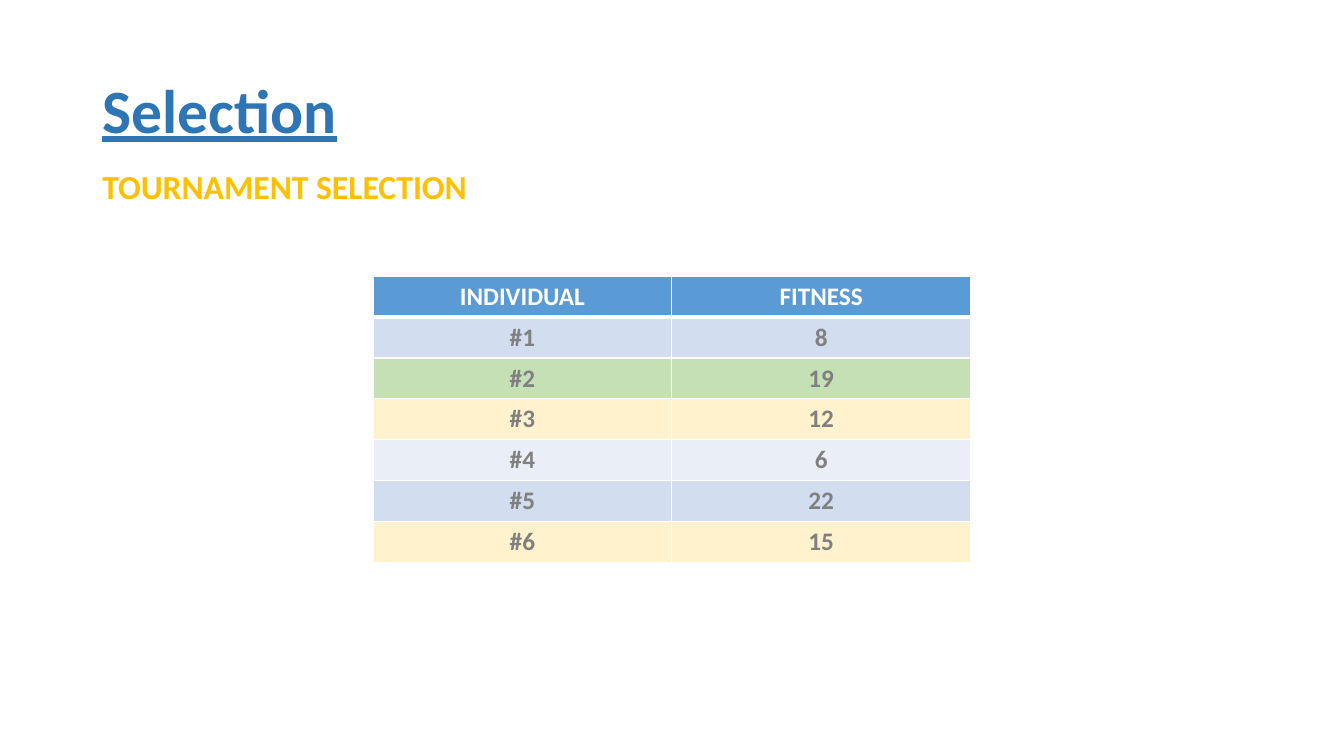
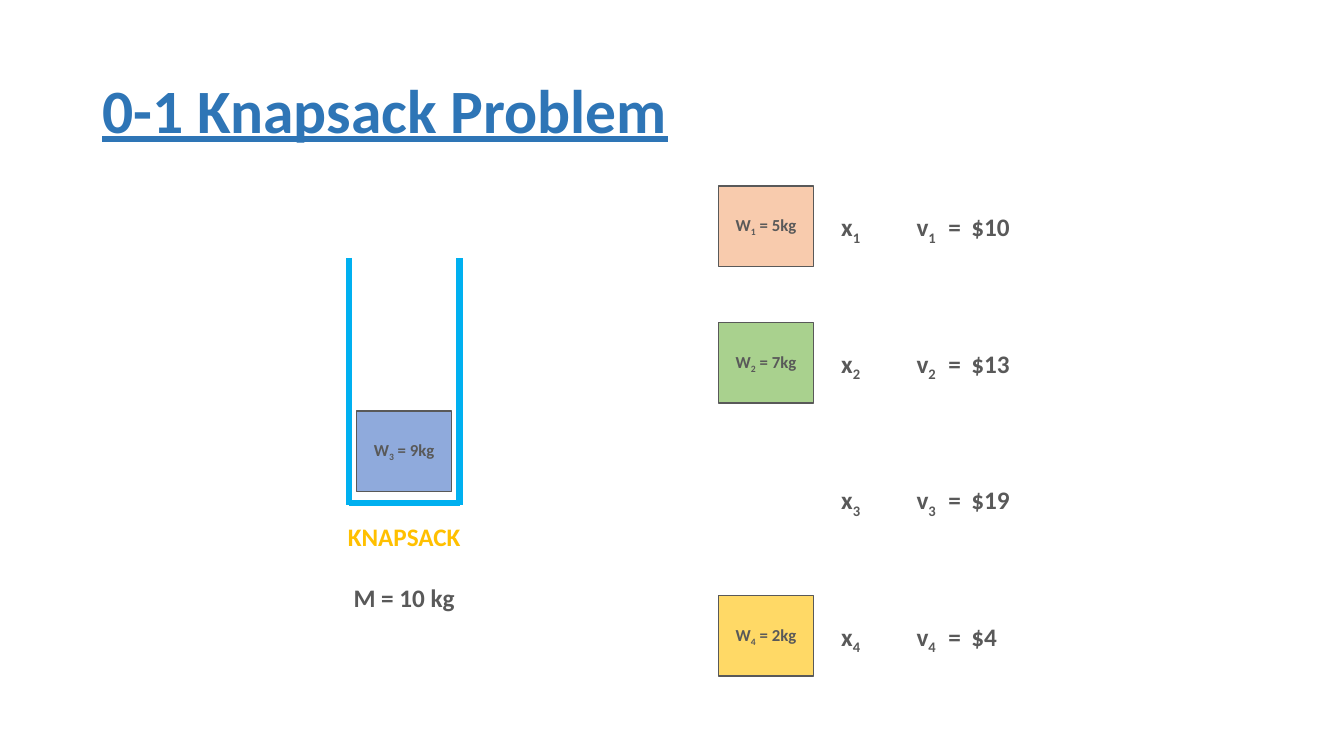
import pptx
import pptx.dml.color
import pptx.enum.shapes
import pptx.enum.text
import pptx.oxml
import pptx.oxml.ns
import pptx.util

Cm = pptx.util.Cm
Pt = pptx.util.Pt
RGBColor = pptx.dml.color.RGBColor
ALIGN = pptx.enum.text.PP_ALIGN
ANCHOR = pptx.enum.text.MSO_ANCHOR

FONT = "Calibri"
TITLE_BLUE = RGBColor(0x2E, 0x75, 0xB6)
GOLD = RGBColor(0xFF, 0xC0, 0x00)
WHITE = RGBColor(0xFF, 0xFF, 0xFF)
DARK_GRAY = RGBColor(0x59, 0x59, 0x59)
CELL_GRAY = RGBColor(0x80, 0x80, 0x80)
HEADER_BLUE = RGBColor(0x5B, 0x9B, 0xD5)
BAND_DARK = RGBColor(0xD2, 0xDE, 0xEF)
BAND_LIGHT = RGBColor(0xEA, 0xEF, 0xF7)
PALE_GREEN = RGBColor(0xC5, 0xE0, 0xB4)
PALE_YELLOW = RGBColor(0xFF, 0xF2, 0xCC)
SACK_BLUE = RGBColor(0x00, 0xB0, 0xF0)
ITEM_ORANGE = RGBColor(0xF8, 0xCB, 0xAD)
ITEM_GREEN = RGBColor(0xA9, 0xD1, 0x8E)
ITEM_BLUE = RGBColor(0x8F, 0xAA, 0xDC)
ITEM_YELLOW = RGBColor(0xFF, 0xD9, 0x66)

FITNESS_ROWS = [
    ("INDIVIDUAL", "FITNESS", HEADER_BLUE),
    ("#1", "8", BAND_DARK),
    ("#2", "19", PALE_GREEN),
    ("#3", "12", PALE_YELLOW),
    ("#4", "6", BAND_LIGHT),
    ("#5", "22", BAND_DARK),
    ("#6", "15", PALE_YELLOW),
]

# weight, value, colour, already in the knapsack
ITEMS = [
    ("5kg", "$10", ITEM_ORANGE, False),
    ("7kg", "$13", ITEM_GREEN, False),
    ("9kg", "$19", ITEM_BLUE, True),
    ("2kg", "$4", ITEM_YELLOW, False),
]

# Table geometry in centimetres
TABLE_LEFT, TABLE_TOP = 9.4, 6.96
COLUMN_WIDTH, ROW_HEIGHT = 7.53, 1.03

# Knapsack geometry in centimetres
SACK_LEFT, SACK_RIGHT = 8.79, 11.58
SACK_TOP, SACK_BASE, SACK_FOOT = 6.5, 12.67, 12.73
SACK_CENTRE = (SACK_LEFT + SACK_RIGHT) / 2
CAPTION_WIDTH = 4

# Item list geometry in centimetres
ITEM_LEFT, ITEM_TOP, ITEM_PITCH = 18.11, 4.69, 3.44
ITEM_WIDTH, ITEM_HEIGHT = 2.39, 2.03
PACKED_TOP = 10.36
VALUE_LEFT, VALUE_DROP = 20.95, 0.52
VALUE_TABS = (1.9, 2.7, 3.28)


def add_run(paragraph, text, size, color, subscript=False, underline=None):
    run = paragraph.add_run()
    run.text = text
    run.font.name = FONT
    run.font.size = Pt(size)
    run.font.bold = True
    run.font.underline = underline
    run.font.color.rgb = color
    if subscript:
        run.font._element.set("baseline", "-25000")


def add_text_box(slide, left, top, width, height):
    """Add a wrapping text box, measured in centimetres; return its frame."""
    box = slide.shapes.add_textbox(Cm(left), Cm(top), Cm(width), Cm(height))
    box.text_frame.word_wrap = True
    return box.text_frame


def add_titled_slide(presentation, title):
    slide = presentation.slides.add_slide(presentation.slide_layouts[6])
    frame = add_text_box(slide, 2.33, 1.01, 29.21, 3.68)
    frame.vertical_anchor = ANCHOR.MIDDLE
    paragraph = frame.paragraphs[0]
    paragraph.line_spacing = 0.9
    add_run(paragraph, title, 44, TITLE_BLUE, underline=True)
    return slide


def add_cell_borders(cell, top, bottom):
    """Draw white borders; top and bottom widths are in points."""
    properties = cell._tc.get_or_add_tcPr()
    namespace = pptx.oxml.ns.nsdecls("a")
    for side, width in (("L", 1), ("R", 1), ("T", top), ("B", bottom)):
        properties.append(pptx.oxml.parse_xml(
            f'<a:ln{side} {namespace} w="{Pt(width)}"><a:solidFill>'
            f'<a:srgbClr val="{WHITE}"/></a:solidFill></a:ln{side}>'))


def add_fitness_table(slide):
    row_count = len(FITNESS_ROWS)
    table = slide.shapes.add_table(
        row_count, 2, Cm(TABLE_LEFT), Cm(TABLE_TOP),
        Cm(2 * COLUMN_WIDTH), Cm(row_count * ROW_HEIGHT)).table
    for column in table.columns:
        column.width = Cm(COLUMN_WIDTH)
    for row_index, (individual, fitness, fill) in enumerate(FITNESS_ROWS):
        table.rows[row_index].height = Cm(ROW_HEIGHT)
        color = WHITE if row_index == 0 else CELL_GRAY
        for column_index, text in enumerate((individual, fitness)):
            cell = table.cell(row_index, column_index)
            add_cell_borders(cell, top=3 if row_index == 1 else 1,
                             bottom=3 if row_index == 0 else 1)
            cell.fill.solid()
            cell.fill.fore_color.rgb = fill
            paragraph = cell.text_frame.paragraphs[0]
            paragraph.alignment = ALIGN.CENTER
            add_run(paragraph, text, 18, color)


def add_knapsack(slide):
    sides = [
        (SACK_LEFT, SACK_TOP, SACK_LEFT, SACK_FOOT),
        (SACK_LEFT, SACK_BASE, SACK_RIGHT, SACK_BASE),
        (SACK_RIGHT, SACK_FOOT, SACK_RIGHT, SACK_TOP),
    ]
    for side in sides:
        connector = slide.shapes.add_connector(
            pptx.enum.shapes.MSO_CONNECTOR.STRAIGHT, *map(Cm, side))
        connector.line.color.rgb = SACK_BLUE
        connector.line.width = Pt(4.5)
        connector._element.spPr.append(
            pptx.oxml.parse_xml(f'<a:effectLst {pptx.oxml.ns.nsdecls("a")}/>'))

    frame = add_text_box(slide, SACK_CENTRE - CAPTION_WIDTH / 2, 13,
                         CAPTION_WIDTH, 2.56)
    name = frame.paragraphs[0]
    capacity = frame.add_paragraph()
    capacity.space_before = Pt(22)
    for paragraph, text, color in ((name, "KNAPSACK", GOLD),
                                   (capacity, "M = 10 kg", DARK_GRAY)):
        paragraph.alignment = ALIGN.CENTER
        add_run(paragraph, text, 18, color)


def add_item_box(slide, left, top, number, weight, fill):
    box = slide.shapes.add_shape(
        pptx.enum.shapes.MSO_SHAPE.RECTANGLE,
        Cm(left), Cm(top), Cm(ITEM_WIDTH), Cm(ITEM_HEIGHT))
    box.shadow.inherit = False
    box.fill.solid()
    box.fill.fore_color.rgb = fill
    box.line.color.rgb = DARK_GRAY
    box.line.width = Pt(1)
    box.text_frame.word_wrap = True
    box.text_frame.vertical_anchor = ANCHOR.MIDDLE
    paragraph = box.text_frame.paragraphs[0]
    paragraph.alignment = ALIGN.CENTER
    add_run(paragraph, "W", 12, DARK_GRAY)
    add_run(paragraph, number, 12, DARK_GRAY, subscript=True)
    add_run(paragraph, f" = {weight}", 12, DARK_GRAY)


def add_item_value(slide, top, number, value):
    paragraph = add_text_box(slide, VALUE_LEFT, top, 5.5, 1.03).paragraphs[0]
    stops = "".join(f'<a:tab pos="{Cm(stop)}" algn="l"/>' for stop in VALUE_TABS)
    paragraph._p.get_or_add_pPr().append(pptx.oxml.parse_xml(
        f'<a:tabLst {pptx.oxml.ns.nsdecls("a")}>{stops}</a:tabLst>'))
    for text in ("x", "\tv"):
        add_run(paragraph, text, 18, DARK_GRAY)
        add_run(paragraph, number, 18, DARK_GRAY, subscript=True)
    add_run(paragraph, f"\t=\t{value}", 18, DARK_GRAY)


def add_items(slide):
    for index, (weight, value, fill, packed) in enumerate(ITEMS):
        number = str(index + 1)
        row_top = ITEM_TOP + index * ITEM_PITCH
        left, top = ITEM_LEFT, row_top
        if packed:
            left, top = SACK_CENTRE - ITEM_WIDTH / 2, PACKED_TOP
        add_item_box(slide, left, top, number, weight, fill)
        add_item_value(slide, row_top + VALUE_DROP, number, value)


def main():
    presentation = pptx.Presentation()
    presentation.slide_width = Cm(33.87)
    presentation.slide_height = Cm(19.05)

    selection = add_titled_slide(presentation, "Selection")
    subtitle = add_text_box(selection, 2.33, 4.06, 10.4, 1.28).paragraphs[0]
    add_run(subtitle, "TOURNAMENT SELECTION", 24, GOLD)
    add_fitness_table(selection)

    knapsack = add_titled_slide(presentation, "0-1 Knapsack Problem")
    add_knapsack(knapsack)
    add_items(knapsack)

    presentation.save("out.pptx")


if __name__ == "__main__":
    main()
